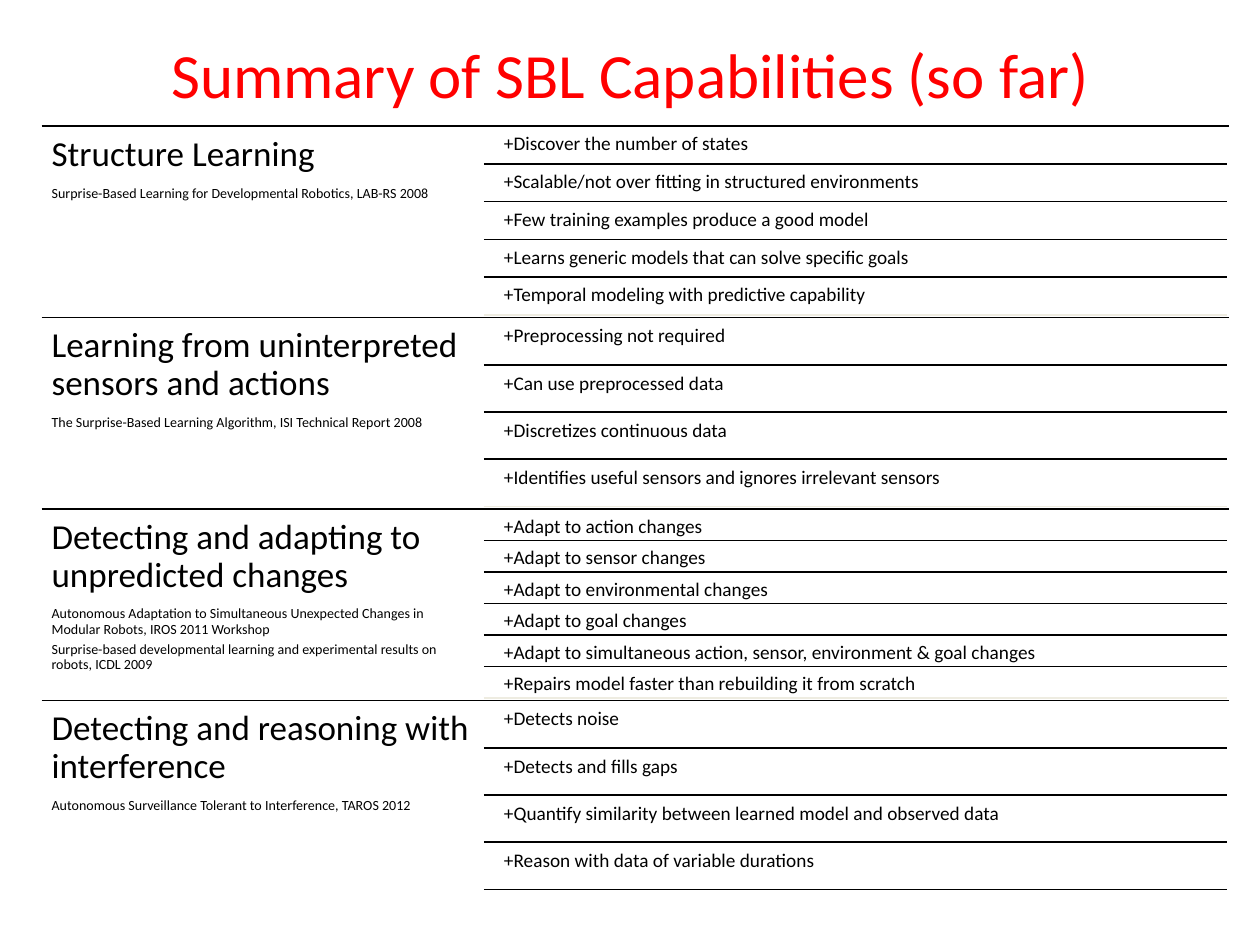
from lxml.etree import SubElement
from pptx import Presentation
from pptx.dml.color import RGBColor
from pptx.enum.shapes import MSO_CONNECTOR
from pptx.enum.text import MSO_ANCHOR, MSO_AUTO_SIZE, PP_ALIGN
from pptx.oxml.ns import qn
from pptx.util import Inches, Pt

BLACK = RGBColor(0, 0, 0)
RED = RGBColor(255, 0, 0)
CREAM = RGBColor(0xEE, 0xEC, 0xE1)

TOPICS = [
    ("Structure Learning",
     ["Surprise-Based Learning for Developmental Robotics, LAB-RS 2008"],
     ["+Discover the number of states",
      "+Scalable/not over fitting in structured environments",
      "+Few training examples produce a good model",
      "+Learns generic models that can solve specific goals",
      "+Temporal modeling with predictive capability"]),
    ("Learning from uninterpreted sensors and actions",
     ["The Surprise-Based Learning Algorithm, ISI Technical Report 2008"],
     ["+Preprocessing not required",
      "+Can use preprocessed data",
      "+Discretizes continuous data",
      "+Identifies useful sensors and ignores irrelevant sensors"]),
    ("Detecting and adapting to unpredicted changes",
     ["Autonomous Adaptation to Simultaneous Unexpected Changes in Modular Robots, IROS 2011 Workshop",
      "Surprise-based developmental learning and experimental results on robots, ICDL 2009"],
     ["+Adapt to action changes",
      "+Adapt to sensor changes",
      "+Adapt to environmental changes",
      "+Adapt to goal changes",
      "+Adapt to simultaneous action, sensor, environment & goal changes",
      "+Repairs model faster than rebuilding it from scratch"]),
    ("Detecting and reasoning with interference",
     ["Autonomous Surveillance Tolerant to Interference, TAROS 2012"],
     ["+Detects noise",
      "+Detects and fills gaps",
      "+Quantify similarity between learned model and observed data",
      "+Reason with data of variable durations"]),
]


def write(para, text, size=11, color=BLACK, align=PP_ALIGN.LEFT, before=0, spacing=0.9):
    """Fill a paragraph with formatted text."""
    para.text = text
    para.alignment = align
    para.line_spacing = spacing
    para.space_before = Pt(before)
    para.space_after = Pt(0)
    para.font.size = Pt(size)
    para.font.name = "Calibri"
    para.font.color.rgb = color


def add_box(slide, left, top, width, height, inset):
    """Add a wrapping text box and return its frame."""
    box = slide.shapes.add_textbox(Inches(left), Inches(top), Inches(width), Inches(height))
    frame = box.text_frame
    frame.word_wrap = True
    frame.margin_left = frame.margin_right = Inches(inset)
    frame.margin_top = frame.margin_bottom = Inches(inset)
    return frame


def add_rule(slide, left, right, top, color=BLACK):
    """Draw a horizontal rule."""
    rule = slide.shapes.add_connector(
        MSO_CONNECTOR.STRAIGHT, Inches(left), Inches(top), Inches(right), Inches(top))
    rule.line.color.rgb = color
    rule.line.width = Pt(1)
    SubElement(rule._element.spPr, qn("a:effectLst"))


def add_title(slide, text, left, top, width, height):
    """Place and format the slide title."""
    title = slide.shapes.title
    title.left, title.top = Inches(left), Inches(top)
    title.width, title.height = Inches(width), Inches(height)
    frame = title.text_frame
    frame.auto_size = MSO_AUTO_SIZE.NONE
    frame.vertical_anchor = MSO_ANCHOR.MIDDLE
    write(frame.paragraphs[0], text, size=36, color=RED, align=PP_ALIGN.CENTER, spacing=1)


def add_heading(slide, name, papers, left, top, width, height):
    """Write a topic name above its papers."""
    frame = add_box(slide, left, top, width, height, inset=0.08)
    write(frame.paragraphs[0], name, size=20)
    for index, paper in enumerate(papers):
        write(frame.add_paragraph(), paper, size=8, before=2.8 if index else 7)


def add_points(slide, points, left, top, width, height, end):
    """Stack points in equal rows, each with a rule below it."""
    row = height / len(points)
    for index, point in enumerate(points):
        y = top + index * row
        frame = add_box(slide, left + 0.11, y + 0.05 * row, width - 0.1, 0.95 * row, inset=0.05)
        write(frame.paragraphs[0], point)
        last = index == len(points) - 1
        add_rule(slide, left, left + width, y + row, end if last else BLACK)


def add_topics(slide, left, top, width, height):
    """Stack the topics, each with a heading on the left and points on the right."""
    pitch = height / len(TOPICS)
    for index, (name, papers, points) in enumerate(TOPICS):
        y = top + index * pitch
        end = BLACK if index == len(TOPICS) - 1 else CREAM
        add_rule(slide, left, left + width, y)
        add_heading(slide, name, papers, left, y, 3.5, 1.5)
        add_points(slide, points, left + 3.51, y, 5.9, 1.5, end)


def main():
    """Build and save the slide."""
    deck = Presentation()
    deck.slide_width, deck.slide_height = Inches(10), Inches(7.5)
    slide = deck.slides.add_slide(deck.slide_layouts[5])
    add_topics(slide, 0.33, 1, 9.42, 6.08)
    add_title(slide, "Summary of SBL Capabilities (so far)", 0.5, 0.08, 9, 1)
    deck.save("out.pptx")


if __name__ == "__main__":
    main()
